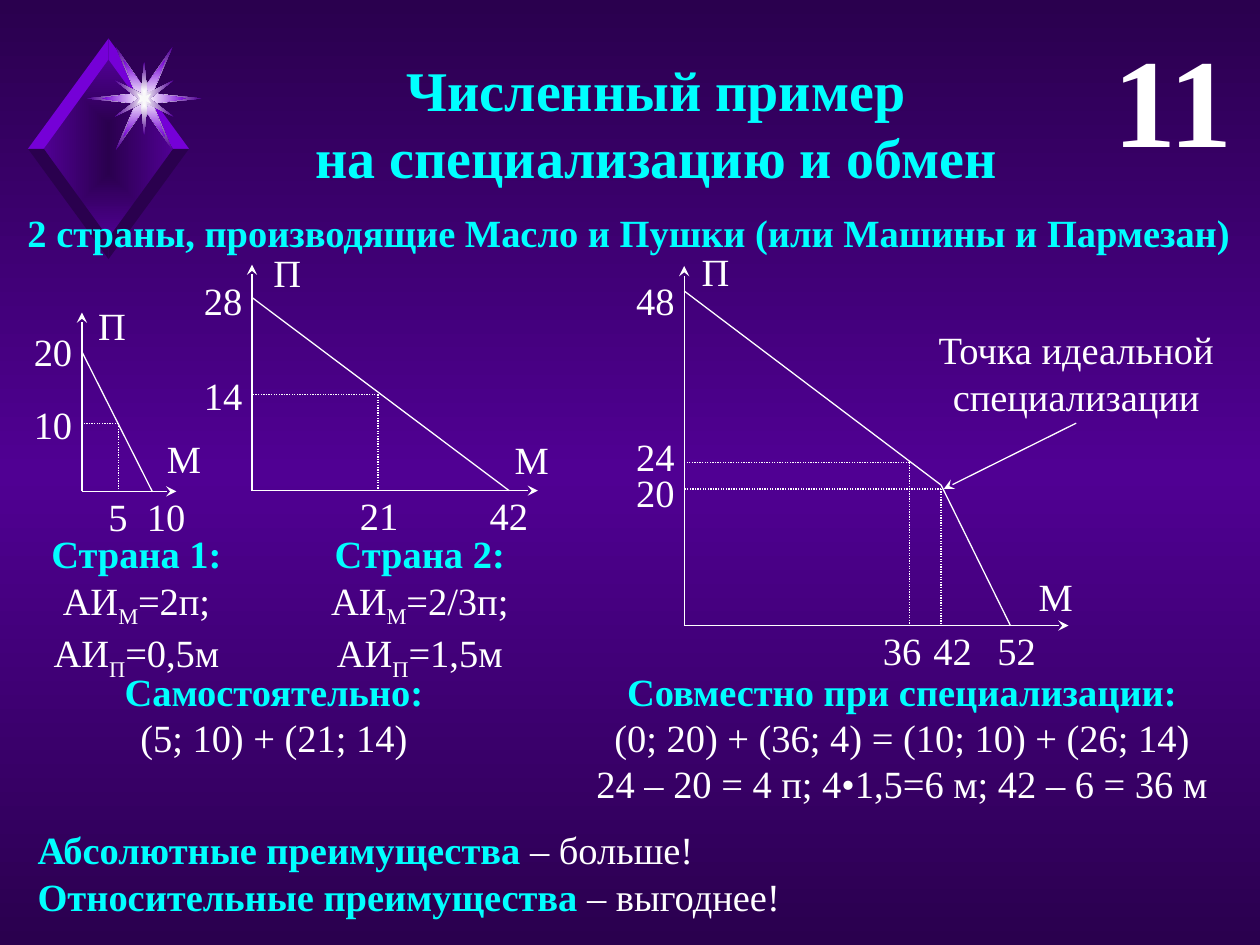
"""Build the slide on a worked example of trade between two countries."""
from dataclasses import dataclass
from itertools import pairwise, product

from lxml.etree import SubElement as Sub
from pptx import Presentation
from pptx.dml.color import RGBColor as Rgb
from pptx.enum.dml import MSO_LINE as Dash
from pptx.enum.shapes import MSO_CONNECTOR as Link
from pptx.enum.text import PP_ALIGN as Align
from pptx.oxml.ns import qn
from pptx.util import Pt


@dataclass(frozen=True)
class Theme:
    face: str = "Times New Roman"
    white: str = "FFFFFF"
    pale: str = "F9F9F9"
    aqua: str = "00FFFF"
    dark: str = "2A004E"
    mid: str = "500093"
    light: str = "7500D7"
    body: int = 22
    title: int = 32
    number: int = 72
    line: float = 0.75


HEAD, PLAIN, SUB = "head", "plain", "sub"


def head(text):
    return [(text, HEAD)]


def plain(text):
    return [(text, PLAIN)]


def cost(good, price):
    return [("АИ", PLAIN), (good, SUB), ("=" + price, PLAIN)]


class Deck:
    def __init__(self, theme):
        self.theme = theme
        self.file = Presentation()
        self.file.slide_width, self.file.slide_height = Pt(720), Pt(540)
        self.slide = self.file.slides.add_slide(self.file.slide_layouts[6])
        self.shapes = self.slide.shapes

    def blend(self, owner, fill, stops, box=False):
        fill.gradient()
        grad = owner.element.find(".//" + qn("a:gradFill"))
        for child in list(grad):
            grad.remove(child)
        group = Sub(grad, qn("a:gsLst"))
        for place, tint in stops:
            stop = Sub(group, qn("a:gs"), pos=str(place * 1000))
            Sub(stop, qn("a:srgbClr"), val=tint)
        if box:
            track = Sub(grad, qn("a:path"), path="rect")
            Sub(track, qn("a:fillToRect"), {side: "50000" for side in "ltrb"})
        else:
            Sub(grad, qn("a:lin"), ang="5400000", scaled="0")

    def back(self):
        t = self.theme
        stops = [(0, t.dark), (50, t.mid), (100, t.dark)]
        self.blend(self.slide, self.slide.background.fill, stops)

    def shape(self, mid, points, *tints):
        spots = [(Pt(mid[0] + x), Pt(mid[1] + y)) for x, y in points]
        pen = self.shapes.build_freeform(*spots[0])
        pen.add_line_segments(spots[1:], close=True)
        form = pen.convert_to_shape()
        form.shadow.inherit = False
        form.line.fill.background()
        if len(tints) == 1:
            form.fill.solid()
            form.fill.fore_color.rgb = Rgb.from_string(tints[0])
        else:
            self.blend(form, form.fill, zip((0, 100), tints), box=True)

    def star(self, mid, part, *tints):
        half = [(x, -y) for x, y in part] + part[-2::-1]
        self.shape(mid, half + [(-x, y) for x, y in half[-2:0:-1]], *tints)

    def paint(self, font, kind):
        t = self.theme
        font.bold = kind == HEAD
        font.color.rgb = Rgb.from_string(t.aqua if kind == HEAD else t.white)

    def text(self, x, y, w, h, paras, size=None, align=Align.CENTER, pad=None):
        box = self.shapes.add_textbox(Pt(x), Pt(y), Pt(w), Pt(h))
        frame = box.text_frame
        frame.word_wrap = True
        if pad is not None:
            frame.margin_left = frame.margin_right = Pt(pad)
            frame.margin_top = frame.margin_bottom = Pt(pad)
        for i, runs in enumerate(paras):
            para = frame.add_paragraph() if i else frame.paragraphs[0]
            para.alignment = align
            para.font.name = self.theme.face
            para.font.size = Pt(size or self.theme.body)
            base = HEAD if all(kind == HEAD for _, kind in runs) else PLAIN
            self.paint(para.font, base)
            for words, kind in runs:
                run = para.add_run()
                run.text = words
                if kind == SUB:
                    run._r.get_or_add_rPr().set("baseline", "-25000")
                elif kind != base:
                    self.paint(run.font, kind)
        return box

    def label(self, words, x, y, w=33, h=28):
        return self.text(x, y, w, h, [plain(words)], pad=0.7)

    def line(self, start, end, arrow=False, dots=False):
        wire = self.shapes.add_connector(
            Link.STRAIGHT, *(Pt(n) for n in (*start, *end)))
        wire.line.color.rgb = Rgb.from_string(self.theme.white)
        wire.line.width = Pt(self.theme.line)
        if dots:
            wire.line.dash_style = Dash.ROUND_DOT
        props = wire.element.spPr
        if arrow:
            Sub(props.find(qn("a:ln")), qn("a:tailEnd"), type="stealth")
        Sub(props, qn("a:effectLst"))
        return wire

    def graph(self, x, y, top, right, curve, guides, rows, cols, names):
        self.line((x, y), (x, top), arrow=True)
        self.line((x, y), (right, y), arrow=True)
        for start, end in pairwise(curve):
            self.line(start, end)
        for spot in guides:
            self.line(spot, (x, spot[1]), dots=True)
            self.line(spot, (spot[0], y), dots=True)
        for words, place in rows:
            self.label(words, x - 33, place)
        for words, place in cols:
            self.label(words, place, y)
        for words, spot in zip("ПМ", names):
            self.label(words, *spot)

    def emblem(self):
        t, gem, glow = self.theme, (62, 85), (82.4, 56.3)
        self.shape(gem, [(0, -51), (-37, 0), (0, 51), (37, 0)], t.dark, t.mid)
        for dx, dy in product((1, -1), (-1, 1)):
            side = [(0, dy * 51), (0, dy * 63), (dx * 46, 0), (dx * 37, 0)]
            self.shape(gem, side, t.light if dy < 0 else t.dark)
        for tip, end, tint in (((16.2, 29.5), 32.8, t.mid),
                               ((11.9, 22), 24.1, t.light)):
            part = [(0, 5.8), tip, (4.7, 2.9), (end, 0)]
            self.star(glow, part, t.white, tint)
        part = [(0, 20.9), (1.8, 2.9), (16.9, 10.4), (3.2, 0)]
        self.star(glow, part, t.white, t.mid)
        self.star(glow, [(0, 5), (0.7, 1.4), (4, 2.9), (2.2, 0)], t.pale)


def main():
    theme = Theme()
    deck = Deck(theme)
    deck.back()
    deck.emblem()
    deck.text(79, 28, 592, 85, [head("Численный пример"),
              head("на специализацию и обмен")], theme.title)
    number = deck.text(621.5, 8.6, 90, 94, [plain("11")], theme.number, Align.RIGHT)
    number.text_frame.paragraphs[0].font.bold = True
    deck.text(8.6, 116, 711.4, 34, [head(
        "2 страны, производящие Масло и Пушки (или Машины и Пармезан)")],
        align=Align.LEFT)
    deck.graph(46.8, 280.8, 178.6, 100.8, [(46.8, 201), (87, 280.8)],
               [(67.7, 242)], [("20", 186.5), ("10", 228.2)],
               [("5", 51), ("10", 78.5)], [(47.5, 172), (88.6, 247.7)])
    deck.graph(144, 280.4, 151.2, 307.4, [(144, 170), (291, 280.4)],
               [(216, 225.4)], [("28", 157.7), ("14", 211.7)],
               [("21", 200.2), ("42", 274.3)], [(147.6, 141.8), (287.3, 248.4)])
    deck.graph(391, 357.5, 152, 610.6,
               [(391, 166.3), (537.8, 277.2), (577.4, 357.5)],
               [(537.8, 279.4), (519.8, 264.2)],
               [("48", 157.7), ("24", 247), ("20", 267.1)],
               [("36", 499), ("42", 527.8), ("52", 564.5)],
               [(392.4, 141.1), (586.8, 326.9)])
    note = deck.label("Точка идеальной специализации", 519, 185.8, 192, 56)
    wire = deck.line((615, 241.8), (539.3, 279.4), arrow=True)
    wire.begin_connect(note, 2)
    for x, w, name, oil, gun in ((21, 114, "Страна 1:", "2п;", "0,5м"),
                                 (176.4, 127, "Страна 2:", "2/3п;", "1,5м")):
        deck.text(x, 299.5, w, 87, [head(name), cost("М", oil), cost("П", gun)])
    deck.text(59, 378, 195, 60, [head("Самостоятельно:"),
              plain("(5; 10) + (21; 14)")])
    deck.text(320.4, 378, 390, 87, [
        head("Совместно при специализации:"),
        plain("(0; 20) + (36; 4) = (10; 10) + (26; 14)"),
        plain("24 – 20 = 4 п; 4•1,5=6 м; 42 – 6 = 36 м")])
    deck.text(14.4, 468.7, 696, 60, [
        head("Абсолютные преимущества ") + plain("– больше!"),
        head("Относительные преимущества ") + plain("– выгоднее!")],
        align=Align.JUSTIFY)
    deck.file.save("out.pptx")


if __name__ == "__main__":
    main()
